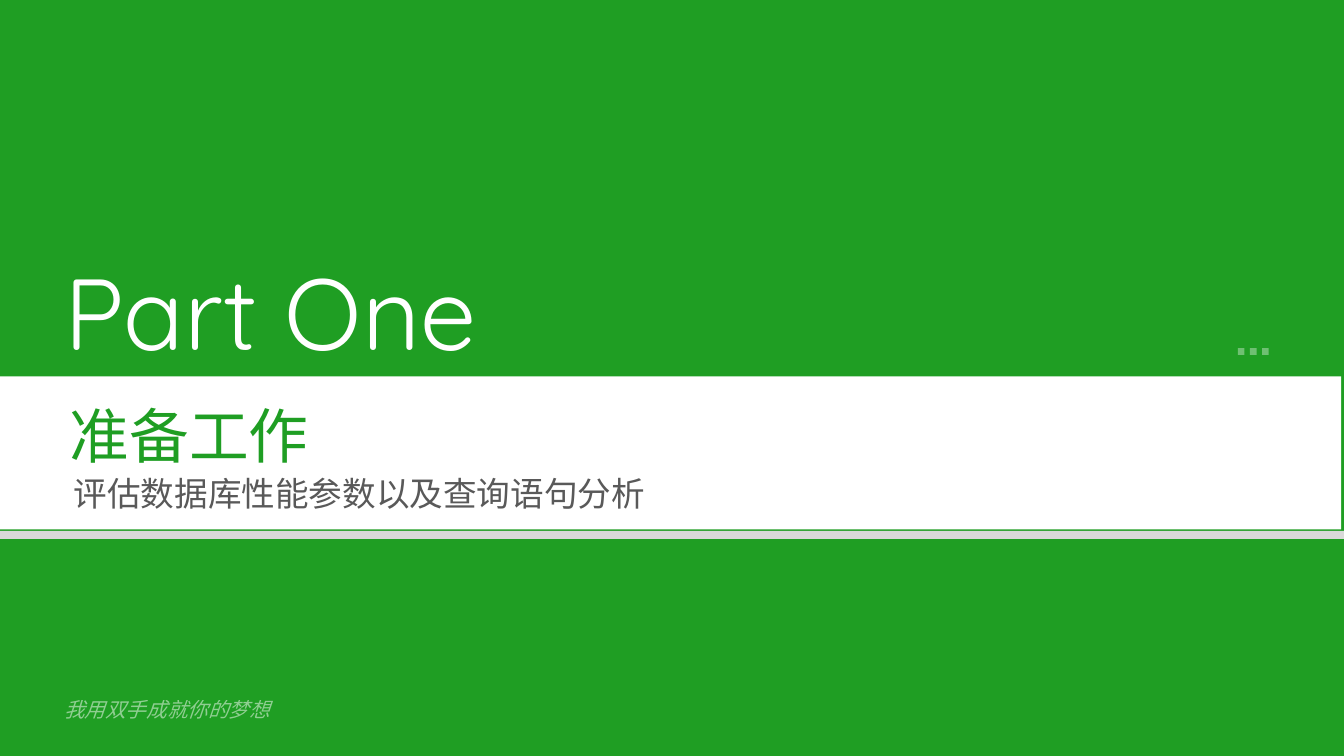
from lxml.etree import SubElement
from pptx import Presentation
from pptx.dml.color import RGBColor
from pptx.enum.shapes import MSO_SHAPE
from pptx.enum.text import MSO_AUTO_SIZE
from pptx.oxml.ns import qn
from pptx.util import Inches, Pt

GREEN = RGBColor(0x1F, 0x9E, 0x23)
WHITE = RGBColor(0xFF, 0xFF, 0xFF)
GREY = RGBColor(0x59, 0x59, 0x59)
LIGHT_GREY = RGBColor(0xD9, 0xD9, 0xD9)

WIDTH = 10
HEIGHT = WIDTH * 9 / 16


class SlideBuilder:
    """Holds the style and the current slide."""

    font = "Quicksand"

    def __init__(self, slide):
        self.s = slide

    def fill(self, fill, element, color, opacity):
        """Apply a solid fill to the element, with opacity in percent."""
        fill.solid()
        fill.fore_color.rgb = color
        if opacity < 100:
            clr = element.find(".//" + qn("a:srgbClr"))
            SubElement(clr, qn("a:alpha"), val=str(opacity * 1000))

    def rect(self, x, y, w, h, color, opacity=100):
        sp = self.s.shapes.add_shape(
            MSO_SHAPE.RECTANGLE, Inches(x), Inches(y), Inches(w), Inches(h))
        sp.shadow.inherit = False
        sp.line.fill.background()
        self.fill(sp.fill, sp.element.spPr, color, opacity)
        return sp

    def text(self, x, y, w, h, text, size, color, opacity=100, italic=None):
        sp = self.s.shapes.add_textbox(
            Inches(x), Inches(y), Inches(w), Inches(h))
        tf = sp.text_frame
        tf.word_wrap = False
        tf.auto_size = MSO_AUTO_SIZE.SHAPE_TO_FIT_TEXT
        p = tf.paragraphs[0]
        r = p.add_run()
        r.text = text
        r.font.size = Pt(size)
        r.font.italic = italic
        r.font.name = self.font
        rPr = r.font._element
        self.fill(r.font.fill, rPr, color, opacity)
        SubElement(rPr, qn("a:ea"), typeface=self.font)
        return sp


def main():
    prs = Presentation()
    prs.slide_width, prs.slide_height = Inches(WIDTH), Inches(HEIGHT)
    b = SlideBuilder(prs.slides.add_slide(prs.slide_layouts[6]))

    # Background and title band
    b.rect(0, 0, WIDTH, HEIGHT, GREEN)
    b.rect(-0.02, 2.8, WIDTH, 1.14, WHITE)

    # Part number, title and subtitle
    b.text(0.38, 1.81, 3.47, 1.01, "Part One", 54, WHITE)
    b.text(0.42, 2.92, 2, 0.64, "准备工作", 32, GREEN)
    b.text(0.45, 3.47, 4.49, 0.4, "评估数据库性能参数以及查询语句分析", 18, GREY)

    # Three small squares
    for i in range(3):
        b.rect(9.21 + i * 0.09, 2.59, 0.05, 0.05, WHITE, 36)

    # Band edge and motto
    b.rect(0, 3.95, WIDTH, 0.06, LIGHT_GREY)
    b.text(0.38, 5.14, 1.74, 0.29, "我用双手成就你的梦想", 11, WHITE, 49, True)

    prs.save("out.pptx")


if __name__ == "__main__":
    main()
